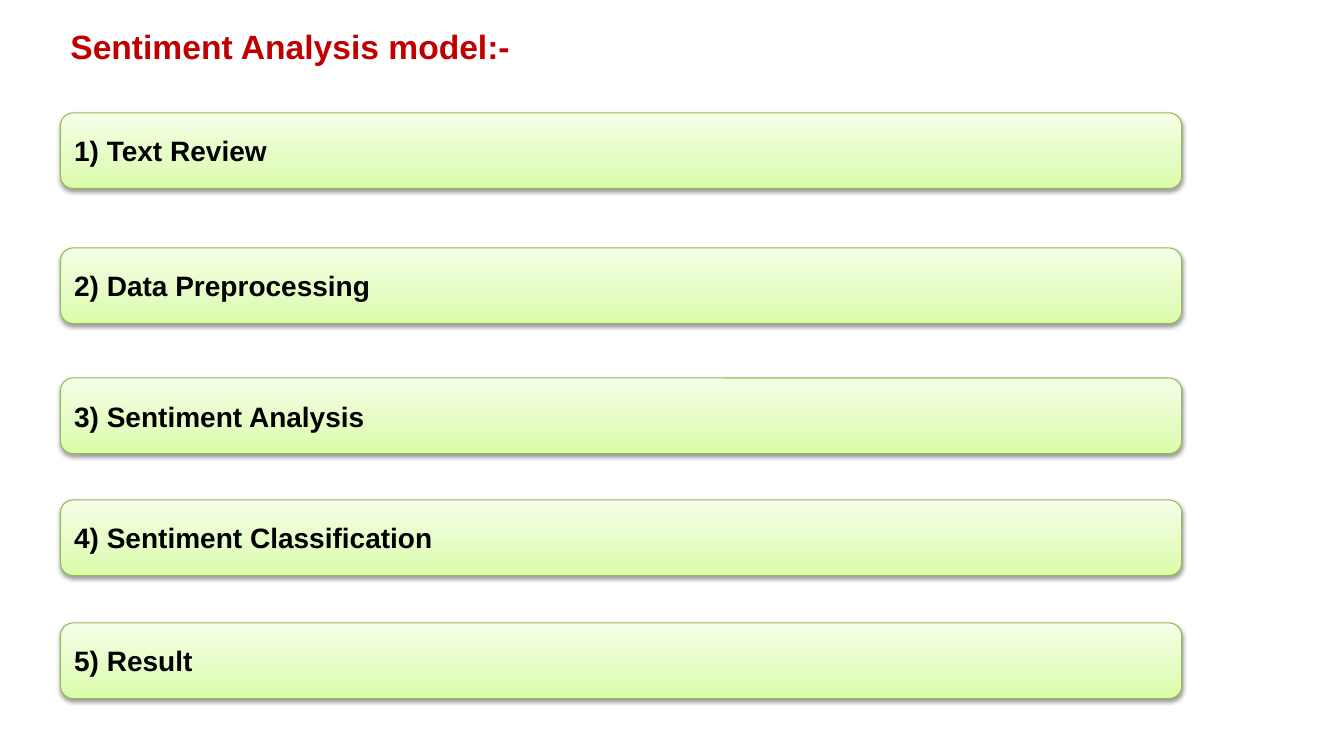
import copy
import pptx
import pptx.util
import pptx.dml.color
import pptx.enum.shapes
import pptx.enum.text
import pptx.oxml
import pptx.oxml.ns

TITLE = "Sentiment Analysis model:-"
STEPS = [
    ("1) Text Review", 1.12),
    ("2) Data Preprocessing", 2.46),
    ("3) Sentiment Analysis", 3.75),
    ("4) Sentiment Classification", 4.96),
    ("5) Result", 6.18),
]
STOPS = [(0, "DAFDA7"), (0.35, "E4FCC2"), (1, "F5FFE7")]
EDGE, BLACK, RED = "98B955", "000000", "C00000"
LEFT, WIDE, HIGH = 0.6, 11.12, 0.75
SHADOW = (
    '<a:outerShdw %s blurRad="40000" dist="20000" dir="5400000" rotWithShape="0">'
    '<a:srgbClr val="000000"><a:alpha val="38000"/></a:srgbClr></a:outerShdw>'
    % pptx.oxml.ns.nsdecls("a")
)


def color(code):
    return pptx.dml.color.RGBColor.from_string(code)


def place(*sizes):
    return [pptx.util.Inches(size) for size in sizes]


def write(frame, text, size, code):
    para = frame.paragraphs[0]
    para.alignment = pptx.enum.text.PP_ALIGN.LEFT
    run = para.add_run()
    run.text = text
    run.font.name = "Arial"
    run.font.size = pptx.util.Pt(size)
    run.font.bold = True
    run.font.color.rgb = color(code)


def shade(fill):
    fill.gradient()
    fill.gradient_angle = 90
    first = fill.gradient_stops[0]._gs
    first.addnext(copy.deepcopy(first))
    for stop, (spot, code) in zip(fill.gradient_stops, STOPS):
        stop.position = spot
        stop.color.rgb = color(code)


def add_step(slide, text, top):
    kind = pptx.enum.shapes.MSO_SHAPE.ROUNDED_RECTANGLE
    bar = slide.shapes.add_shape(kind, *place(LEFT, top, WIDE, HIGH))
    shade(bar.fill)
    bar.line.color.rgb = color(EDGE)
    bar.line.width = pptx.util.Pt(0.75)
    bar.shadow.inherit = False
    effects = bar._element.spPr.find(pptx.oxml.ns.qn("a:effectLst"))
    effects.append(pptx.oxml.parse_xml(SHADOW))
    bar.text_frame.vertical_anchor = pptx.enum.text.MSO_ANCHOR.MIDDLE
    write(bar.text_frame, text, 20, BLACK)


def main():
    deck = pptx.Presentation()
    deck.slide_width, deck.slide_height = place(13.33, 7.5)
    slide = deck.slides.add_slide(deck.slide_layouts[6])
    for text, top in STEPS:
        add_step(slide, text, top)
    head = slide.shapes.add_textbox(*place(LEFT, 0.21, 4.6, 0.91))
    head.text_frame.word_wrap = False
    write(head.text_frame, TITLE, 24, RED)
    deck.save("out.pptx")


if __name__ == "__main__":
    main()
